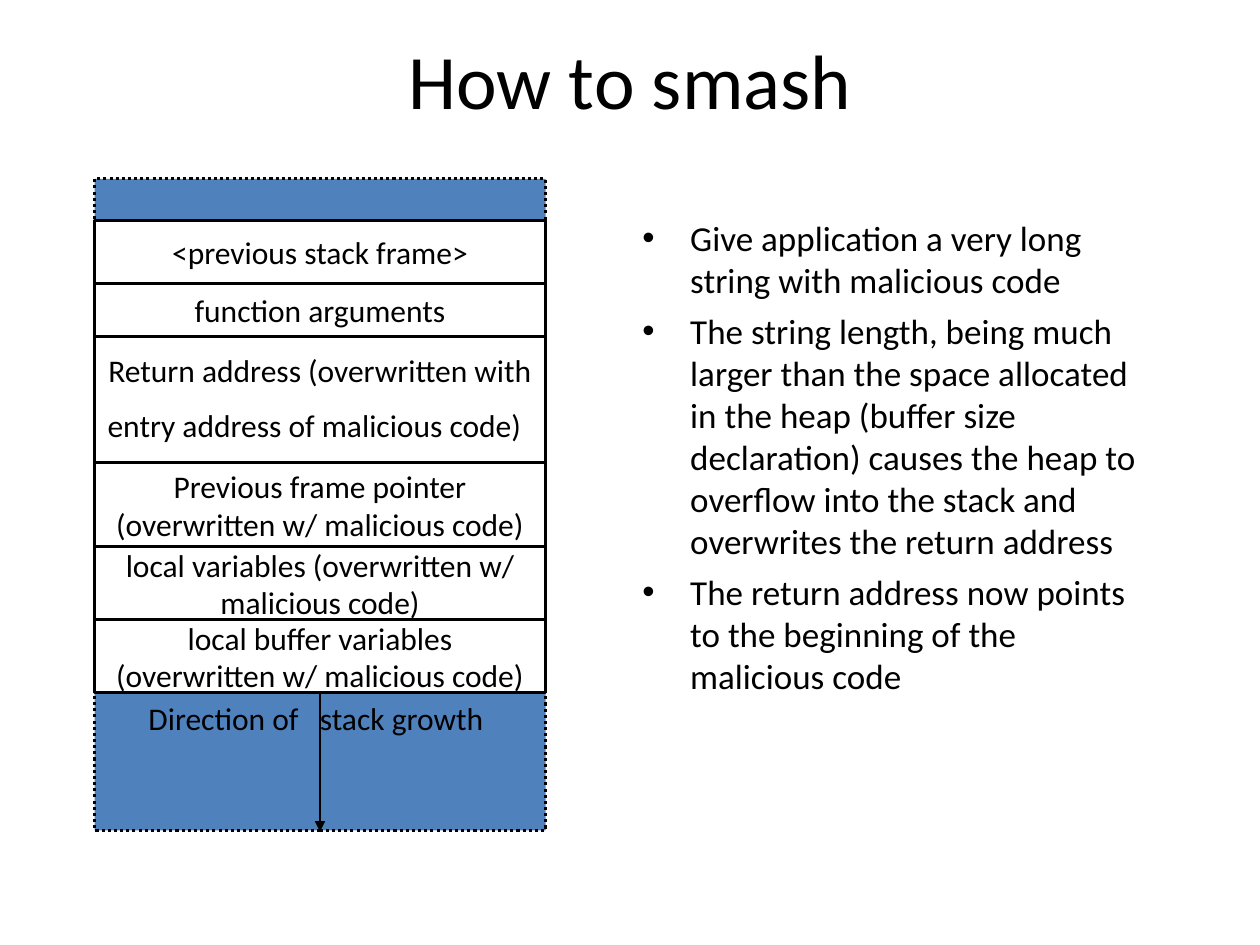
import pptx
import pptx.dml.color
import pptx.enum.dml
import pptx.enum.shapes
import pptx.enum.text
import pptx.oxml
import pptx.oxml.ns
import pptx.util
from lxml import etree

Inches = pptx.util.Inches
Pt = pptx.util.Pt
RGBColor = pptx.dml.color.RGBColor
Align = pptx.enum.text.PP_ALIGN
Anchor = pptx.enum.text.MSO_ANCHOR
qn = pptx.oxml.ns.qn

BLACK = RGBColor(0x00, 0x00, 0x00)
WHITE = RGBColor(0xFF, 0xFF, 0xFF)
BLUE = RGBColor(0x4F, 0x81, 0xBD)
FONT = "Calibri"

# Stack cells from top to bottom: text, height
OVERWRITTEN = "(overwritten w/ malicious code)"
RETURN_ADDRESS = "Return address (overwritten with entry address of malicious code)"
CELLS = [
    ("<previous stack frame>", 0.5),
    ("function arguments", 0.42),
    (RETURN_ADDRESS, 1),
    (f"Previous frame pointer {OVERWRITTEN}", 0.67),
    (f"local variables {OVERWRITTEN}", 0.58),
    (f"local buffer variables {OVERWRITTEN}", 0.58),
]
POINTS = [
    "Give application a very long string with malicious code",
    "The string length, being much larger than the space allocated in the heap "
    "(buffer size declaration) causes the heap to overflow into the stack and "
    "overwrites the return address",
    "The return address now points to the beginning of the malicious code",
]


def add_run(paragraph, text, size):
    run = paragraph.add_run()
    run.text = text
    run.font.size = Pt(size)
    run.font.name = FONT
    run.font.color.rgb = BLACK


def write_text(shape, *texts, size=18, align=Align.CENTER, anchor=Anchor.MIDDLE,
               space_before=0, bullet_indent=None, tab=None):
    frame = shape.text_frame
    frame.word_wrap = True
    frame.vertical_anchor = anchor
    for index, text in enumerate(texts):
        paragraph = frame.paragraphs[0] if index == 0 else frame.add_paragraph()
        paragraph.alignment = align
        paragraph.space_before = Pt(space_before)
        add_run(paragraph, text, size)
        properties = paragraph._p.get_or_add_pPr()
        if bullet_indent:
            properties.set("marL", str(Inches(bullet_indent)))
            properties.set("indent", str(-Inches(bullet_indent)))
            etree.SubElement(properties, qn("a:buFont")).set("typeface", "Arial")
            etree.SubElement(properties, qn("a:buChar")).set("char", "•")
        if tab:
            tabs = etree.SubElement(properties, qn("a:tabLst"))
            stop = etree.SubElement(tabs, qn("a:tab"))
            stop.set("pos", str(Inches(tab)))
            stop.set("algn", "l")


def add_text_box(slide, left, top, width, height, *texts, **text_format):
    box = slide.shapes.add_textbox(
        Inches(left), Inches(top), Inches(width), Inches(height))
    write_text(box, *texts, **text_format)


def add_box(slide, left, top, width, height, fill):
    box = slide.shapes.add_shape(
        pptx.enum.shapes.MSO_SHAPE.RECTANGLE,
        Inches(left), Inches(top), Inches(width), Inches(height))
    box.shadow.inherit = False
    box.fill.solid()
    box.fill.fore_color.rgb = fill
    box.line.color.rgb = BLACK
    box.line.width = Pt(1.76)
    return box


def add_arrow(slide, x, top, bottom):
    arrow = slide.shapes.add_connector(
        pptx.enum.shapes.MSO_CONNECTOR.STRAIGHT,
        Inches(x), Inches(top), Inches(x), Inches(bottom))
    arrow.line.color.rgb = BLACK
    arrow.line.width = Pt(0.74)
    etree.SubElement(arrow.line._get_or_add_ln(), qn("a:tailEnd")).set("type", "triangle")
    etree.SubElement(arrow._element.spPr, qn("a:effectLst"))


def add_stack(slide, left, top, width, height):
    # Dotted memory area behind the cells
    memory = add_box(slide, left, top, width, height, BLUE)
    memory.line.dash_style = pptx.enum.dml.MSO_LINE.ROUND_DOT

    # Cells follow each other downwards
    cell_top = top + 0.33
    for text, cell_height in CELLS:
        cell = add_box(slide, left, cell_top, width, cell_height, WHITE)
        write_text(cell, text)
        if text == RETURN_ADDRESS:
            add_run(cell.text_frame.paragraphs[0], " ", 28)
        cell_top += cell_height

    # Growth arrow, with its label split around it by a tab stop
    middle = left + width / 2
    label_left = left + 0.33
    add_arrow(slide, middle, cell_top + 0.01, top + height + 0.01)
    add_text_box(slide, label_left, cell_top, width - 0.66, 0.4,
                 "Direction of\tstack growth", align=Align.LEFT,
                 anchor=Anchor.TOP, tab=middle - label_left - 0.1)


def build_slide(presentation):
    slide = presentation.slides.add_slide(presentation.slide_layouts[6])
    add_text_box(slide, 0.75, 0, 8.5, 1.25, "How to smash", size=44)
    add_text_box(slide, 5, 1.67, 4.17, 4.92, *POINTS, size=20, align=Align.LEFT,
                 anchor=Anchor.TOP, space_before=5, bullet_indent=0.38)
    add_stack(slide, 0.75, 1.42, 3.58, 5.17)


presentation = pptx.Presentation()
presentation.slide_width = Inches(10)
presentation.slide_height = Inches(7.5)
build_slide(presentation)
presentation.save("out.pptx")
